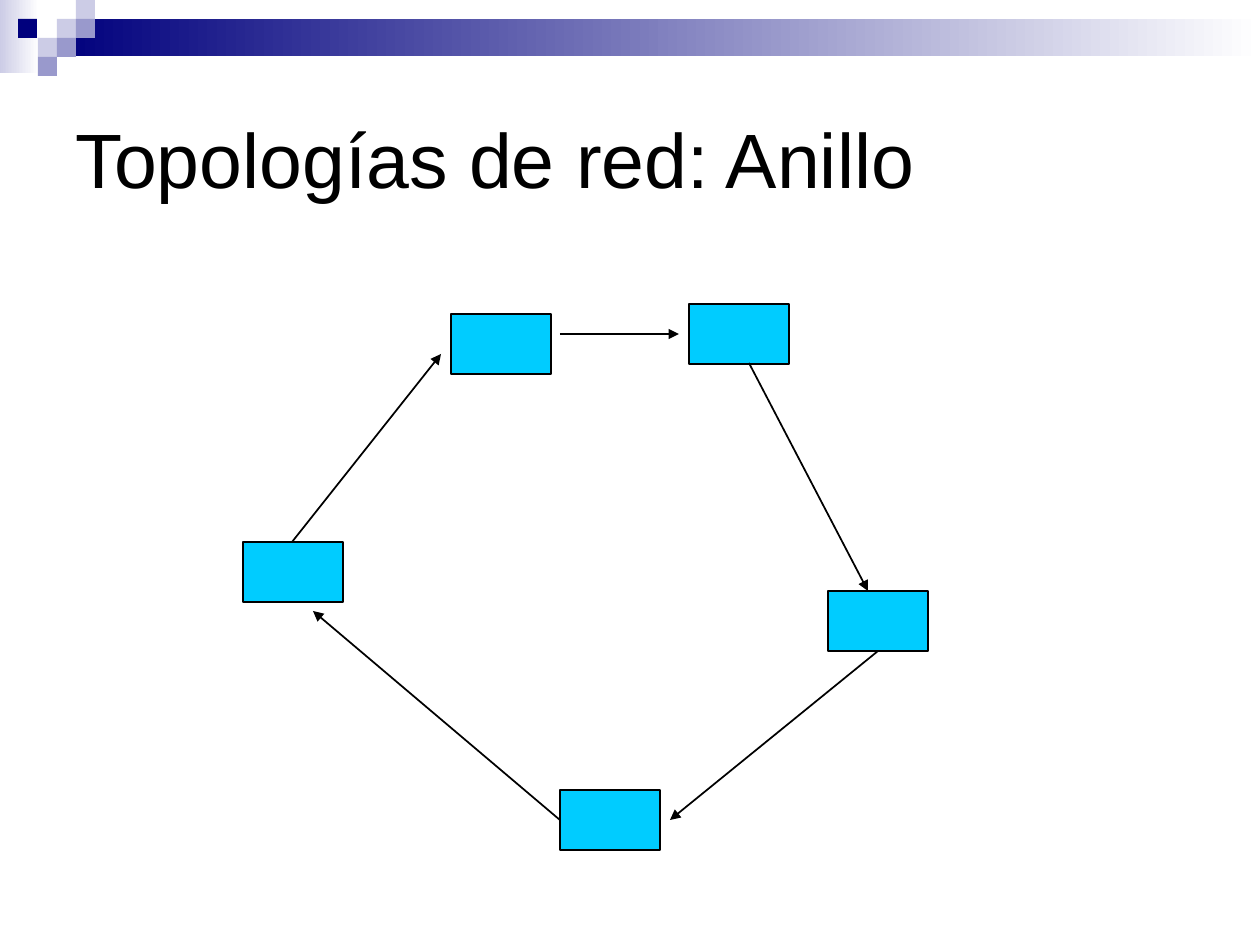
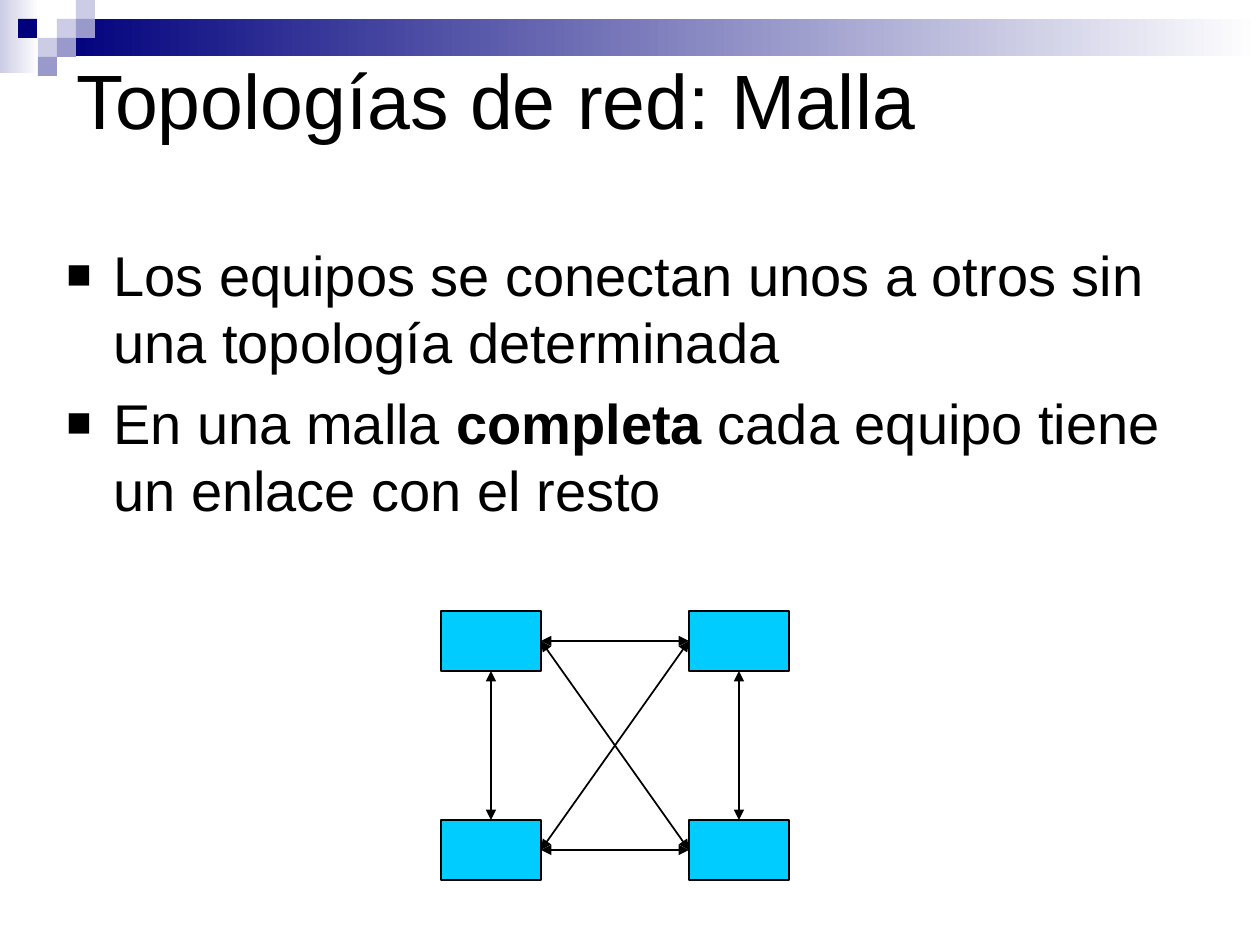
from itertools import product

from lxml import etree
from pptx import Presentation
from pptx import util as u
from pptx.dml import color
from pptx.enum import shapes, text
from pptx.oxml import ns

PAGE_W, PAGE_H = 1260, 945
NODE_W, NODE_H = 100, 60
TILE = 19


def px(length):
    return u.Emu(round(length * 914400 / 126))


def rgb(value):
    return color.RGBColor.from_string(value)


def apply(target, values):
    for name, value in values.items():
        setattr(target, name, value)


def add_child(parent, tag, **attributes):
    return etree.SubElement(parent, ns.qn(tag), attributes)


class Painter:
    BLACK, WHITE, NAVY = "000000", "FFFFFF", "00007D"
    PALE, LILAC, NODE = "CCCCE6", "9999CC", "00CCFF"
    TILES = [
        (57, 19, PALE), (76, 0, PALE), (76, 19, LILAC), (38, 38, PALE),
        (18, 19, NAVY), (57, 38, LILAC), (38, 57, LILAC),
    ]
    FRAME = {
        "word_wrap": True,
        "auto_size": text.MSO_AUTO_SIZE.NONE,
        "margin_left": px(12.6), "margin_right": px(12.6),
        "margin_top": px(6.3), "margin_bottom": px(6.3),
    }

    def __init__(self, deck):
        self.deck = deck
        self.page = None

    def start_page(self, title, left, top):
        self.page = self.deck.slides.add_slide(self.deck.slide_layouts[5])
        self.fade(0, 0, 39, 73, self.PALE)
        self.fade(57, 19, PAGE_W - 57, 37, self.NAVY)
        for x, y, fill in self.TILES:
            self.rect(x, y, TILE, TILE, fill)
        box = self.page.shapes.title
        apply(box, {"left": px(left), "top": px(top),
                    "width": px(1134), "height": px(198)})
        apply(box.text_frame, self.FRAME)
        box.text_frame.vertical_anchor = text.MSO_ANCHOR.MIDDLE
        para = box.text_frame.paragraphs[0]
        para.alignment = text.PP_ALIGN.LEFT
        self.span(para, title, 44)

    def span(self, para, words, size, bold=False):
        run = para.add_run()
        run.text = words
        apply(run.font, {"name": "Arial", "size": u.Pt(size), "bold": bold})
        run.font.color.rgb = rgb(self.BLACK)

    def shape(self, x, y, w, h):
        box = self.page.shapes.add_shape(
            shapes.MSO_SHAPE.RECTANGLE, px(x), px(y), px(w), px(h))
        box.shadow.inherit = False
        box.line.fill.background()
        return box

    def rect(self, x, y, w, h, fill):
        box = self.shape(x, y, w, h)
        box.fill.solid()
        box.fill.fore_color.rgb = rgb(fill)
        return box

    def fade(self, x, y, w, h, start):
        fill = self.shape(x, y, w, h).fill
        fill.gradient()
        fill.gradient_angle = 0
        for stop, value in zip(fill.gradient_stops, (start, self.WHITE)):
            stop.color.rgb = rgb(value)

    def node(self, x, y):
        box = self.rect(x, y, NODE_W, NODE_H, self.NODE)
        box.line.width = u.Pt(1)
        box.line.color.rgb = rgb(self.BLACK)

    def arrow(self, start, end, both=False):
        link = self.page.shapes.add_connector(
            shapes.MSO_CONNECTOR.STRAIGHT, *map(px, start + end))
        link.line.width = u.Pt(1)
        link.line.color.rgb = rgb(self.BLACK)
        line = link.line._get_or_add_ln()
        if both:
            add_child(line, "a:headEnd", type="triangle")
        add_child(line, "a:tailEnd", type="triangle")
        add_child(link._element.spPr, "a:effectLst")

    def bullets(self, x, y, w, h, items):
        box = self.page.shapes.add_textbox(px(x), px(y), px(w), px(h))
        frame = box.text_frame
        apply(frame, self.FRAME)
        for index, item in enumerate(items):
            para = frame.add_paragraph() if index else frame.paragraphs[0]
            props = para._p.get_or_add_pPr()
            apply_indent = {"marL": px(47), "indent": px(-47)}
            for name, value in apply_indent.items():
                props.set(name, str(value))
            bullet_color = add_child(props, "a:buClr")
            add_child(bullet_color, "a:srgbClr", val=self.BLACK)
            add_child(props, "a:buSzPct", val="75000")
            add_child(props, "a:buFont", typeface="Arial")
            add_child(props, "a:buChar", char="■")
            para.space_before = u.Pt(8 if index else 0)
            for words, bold in item:
                self.span(para, words, 32, bold)


def draw_ring(painter):
    painter.start_page("Topologías de red: Anillo", 63, 59)
    for x, y in [(689, 304), (828, 591), (451, 314), (243, 542), (560, 790)]:
        painter.node(x, y)
    for start, end in [
        ((292, 542), (441, 354)),
        ((560, 334), (679, 334)),
        ((749, 363), (868, 591)),
        ((878, 651), (670, 820)),
        ((560, 820), (313, 611)),
    ]:
        painter.arrow(start, end)


def draw_mesh(painter):
    painter.start_page("Topologías de red: Malla", 64, 0)
    painter.bullets(54, 234, 1144, 645, [
        [("Los equipos se conectan unos a otros sin una topología determinada",
          False)],
        [("En una malla ", False), ("completa", True),
         (" cada equipo tiene un enlace con el resto", False)],
    ])
    columns, rows = (441, 689), (611, 820)
    for x, y in product(columns, rows):
        painter.node(x, y)
    for x in columns:
        middle = x + NODE_W // 2
        painter.arrow((middle, rows[0] + NODE_H), (middle, rows[1]), both=True)
    for left_y, right_y in product(rows, rows):
        painter.arrow((columns[0] + NODE_W, left_y + NODE_H // 2),
                      (columns[1], right_y + NODE_H // 2), both=True)


def main():
    deck = Presentation()
    apply(deck, {"slide_width": px(PAGE_W), "slide_height": px(PAGE_H)})
    painter = Painter(deck)
    draw_ring(painter)
    draw_mesh(painter)
    deck.save("out.pptx")


if __name__ == "__main__":
    main()
